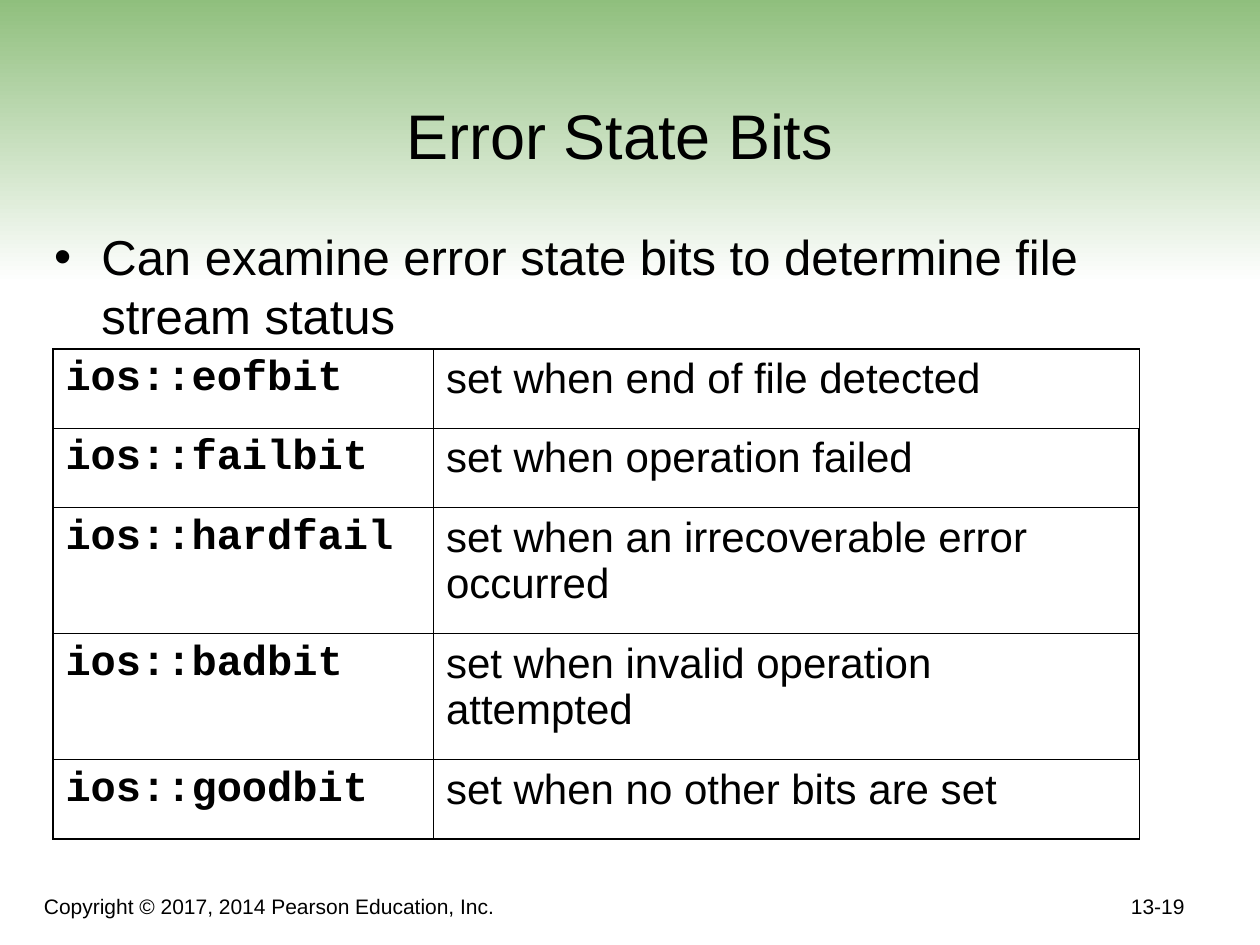
from lxml import etree
from pptx import Presentation
from pptx import util as u
from pptx.dml import color
from pptx.enum import shapes, text
from pptx.oxml import ns

BLACK = "000000"
THIN, THICK = 0.45, 1.08
ROWS = [
    ("ios::eofbit", "set when end of file detected", 0.63),
    ("ios::failbit", "set when operation failed", 0.63),
    ("ios::hardfail", "set when an irrecoverable error occurred", 1),
    ("ios::badbit", "set when invalid operation attempted", 1),
    ("ios::goodbit", "set when no other bits are set", 0.63),
]


def rgb(value):
    return color.RGBColor.from_string(value)


def place(shape, left, top, width, height):
    shape.left, shape.top = u.Inches(left), u.Inches(top)
    shape.width, shape.height = u.Inches(width), u.Inches(height)


def write(frame, words, size, align=text.PP_ALIGN.LEFT, font="Arial", bold=False):
    frame.text = words
    paragraph = frame.paragraphs[0]
    paragraph.alignment = align
    paragraph.space_before = u.Pt(0)
    paragraph.font.name = font
    paragraph.font.size = u.Pt(size)
    paragraph.font.bold = bold
    paragraph.font.color.rgb = rgb(BLACK)
    return paragraph


def add_gradient_band(slide):
    band = slide.shapes.add_shape(
        shapes.MSO_SHAPE.RECTANGLE, 0, u.Inches(-0.08), u.Inches(10), u.Inches(2.33))
    band.shadow.inherit = False
    band.line.fill.background()
    band.fill.gradient()
    band.fill.gradient_angle = 270
    for stop, value in zip(band.fill.gradient_stops, ("8CBD79", "FFFFFF")):
        stop.color.rgb = rgb(value)
    slide.shapes._spTree.insert(2, band._element)


def set_title(slide, words):
    title = slide.shapes.title
    place(title, 0.67, 0.17, 8.5, 1.25)
    title.text_frame.auto_size = text.MSO_AUTO_SIZE.NONE
    title.text_frame.vertical_anchor = text.MSO_ANCHOR.BOTTOM
    write(title.text_frame, words, 36, text.PP_ALIGN.CENTER)


def set_body(slide, words):
    body = slide.placeholders[1]
    place(body, 0.33, 1.75, 9, 1.33)
    frame = body.text_frame
    frame.auto_size = text.MSO_AUTO_SIZE.NONE
    frame.margin_right = 0
    frame.text = words
    properties = frame.paragraphs[0]._p.get_or_add_pPr()
    properties.set("marL", "0")
    properties.set("indent", "0")
    frame.paragraphs[0].line_spacing = 1.05
    frame.paragraphs[0].space_before = u.Pt(0)
    etree.SubElement(properties, ns.qn("a:buNone"))
    write(frame, words, 28)


def add_footer_text(slide, words, left, top, width, height, align):
    box = slide.shapes.add_textbox(0, 0, 0, 0)
    place(box, left, top, width, height)
    box.text_frame.word_wrap = True
    box.text_frame.vertical_anchor = text.MSO_ANCHOR.BOTTOM
    write(box.text_frame, words, 12, align)


def set_borders(cell, widths):
    properties = cell._tc.get_or_add_tcPr()
    for index, (side, width) in enumerate(widths.items()):
        line = etree.Element(ns.qn(f"a:ln{side}"), w=str(u.Pt(width)))
        fill = etree.SubElement(line, ns.qn("a:solidFill"))
        etree.SubElement(fill, ns.qn("a:srgbClr"), val=BLACK)
        properties.insert(index, line)


def add_bits_table(slide):
    frame = slide.shapes.add_table(
        len(ROWS), 2, u.Inches(0.42), u.Inches(2.77), u.Inches(8.62), u.Inches(3.89))
    table = frame.table
    table.first_row = table.horz_banding = False
    for column, width in zip(table.columns, (3.02, 5.6)):
        column.width = u.Inches(width)
    last = len(ROWS) - 1
    for row, (bit, meaning, height) in enumerate(ROWS):
        table.rows[row].height = u.Inches(height)
        top = THICK if row == 0 else THIN
        bottom = THICK if row == last else THIN
        outer_right = THIN if row in (0, last) else THICK
        cells = ((bit, "Courier New", True, THICK), (meaning, "Arial", False, outer_right))
        for column, (words, font, bold, right) in enumerate(cells):
            cell = table.cell(row, column)
            cell.fill.background()
            write(cell.text_frame, words, 24, font=font, bold=bold)
            set_borders(cell, {"L": THICK, "R": right, "T": top, "B": bottom})


def main():
    presentation = Presentation()
    presentation.slide_width, presentation.slide_height = u.Inches(10), u.Inches(7.5)
    slide = presentation.slides.add_slide(presentation.slide_layouts[1])
    add_gradient_band(slide)
    set_title(slide, "Error State Bits")
    set_body(slide, "Can examine error state bits to determine file stream status")
    add_bits_table(slide)
    add_footer_text(slide, "Copyright © 2017, 2014 Pearson Education, Inc.",
                    0.25, 6.92, 6.75, 0.42, text.PP_ALIGN.LEFT)
    add_footer_text(slide, "13-19", 7.42, 6.84, 2.08, 0.5, text.PP_ALIGN.RIGHT)
    presentation.save("out.pptx")


if __name__ == "__main__":
    main()
